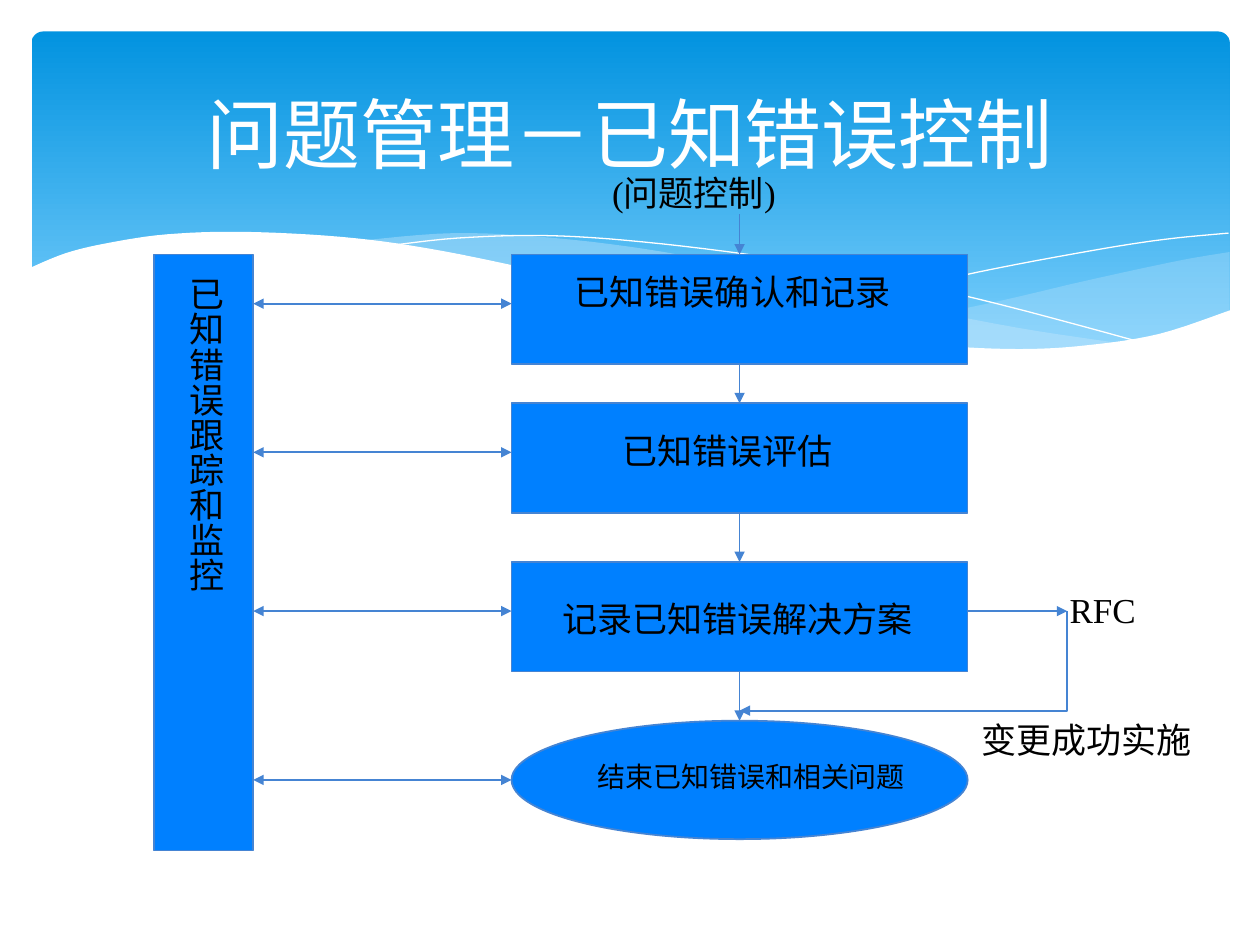
from lxml import etree
from pptx import Presentation
from pptx.dml.color import RGBColor
from pptx.enum.shapes import MSO_CONNECTOR as Connector, MSO_SHAPE as Shape
from pptx.enum.text import MSO_ANCHOR as Anchor, MSO_AUTO_SIZE as AutoSize, PP_ALIGN as Align
from pptx.oxml.ns import qn
from pptx.util import Inches, Pt

WHITE = RGBColor(0xFF, 0xFF, 0xFF)
BLACK = RGBColor(0x00, 0x00, 0x00)
BOX_BLUE = RGBColor(0x00, 0x80, 0xFF)
LINE_BLUE = RGBColor(0x45, 0x84, 0xD3)
SKY_TOP = RGBColor(0x02, 0x93, 0xE0)
SKY_BOTTOM = RGBColor(0x83, 0xD3, 0xFE)
MIST = RGBColor(0xC6, 0xE7, 0xFC)

COLUMNS, ROWS = 100, 75  # square grid cells
LABEL_INSETS = (1, 0.5, 1.2, 0.5)


def smooth(knots, steps=6):
    """Points of a Catmull-Rom curve through the knots."""
    ends = [knots[0], *knots, knots[-1]]
    points = [knots[0]]
    for a, b, c, d in zip(ends, ends[1:], ends[2:], ends[3:]):
        for step in range(1, steps + 1):
            t = step / steps
            points.append(tuple(
                (2 * q + (r - p) * t + (2 * p - 5 * q + 4 * r - s) * t ** 2
                 + (3 * q - p - 3 * r + s) * t ** 3) / 2
                for p, q, r, s in zip(a, b, c, d)))
    return points


class FlowSlide:
    """Style and drawing methods; all lengths are grid columns and rows."""

    def __init__(self, presentation):
        self.cell = presentation.slide_width / COLUMNS
        self.slide = presentation.slides.add_slide(presentation.slide_layouts[6])
        self.shapes = self.slide.shapes

    def units(self, *lengths):
        return [round(length * self.cell) for length in lengths]

    def block(self, kind, at, fill=BOX_BLUE, line=LINE_BLUE):
        shape = self.shapes.add_shape(kind, *self.units(*at))
        self.paint(shape, fill, line, 1)
        return shape

    def paint(self, shape, fill, line, width):
        shape.shadow.inherit = False
        if fill is None:
            shape.fill.background()
        else:
            shape.fill.solid()
            shape.fill.fore_color.rgb = fill
        if line is None:
            shape.line.fill.background()
        else:
            shape.line.color.rgb = line
            shape.line.width = Pt(width)

    def sky(self, at):
        shape = self.block(Shape.ROUNDED_RECTANGLE, at, line=None)
        shape.adjustments[0] = 0.034
        shape.fill.gradient()
        shape.fill.gradient_angle = 270
        for stop, color, position in zip(shape.fill.gradient_stops, (SKY_TOP, SKY_BOTTOM), (0, 1)):
            stop.color.rgb = color
            stop.position = position

    def wave(self, points, fill=None, line=None, opacity=100):
        points = [self.units(*point) for point in points]
        builder = self.shapes.build_freeform(*points[0])
        builder.add_line_segments(points[1:], close=fill is not None)
        shape = builder.convert_to_shape()
        self.paint(shape, fill, line, 0)
        if opacity < 100:
            color = shape._element.spPr.find(".//" + qn("a:srgbClr"))
            etree.SubElement(color, qn("a:alpha")).set("val", str(opacity * 1000))

    def text(self, text, at, size=20, font="Times New Roman", color=BLACK, align=Align.LEFT,
             insets=LABEL_INSETS, fill=None, vertical=False, anchor=Anchor.TOP, grow=True):
        if fill is None:
            shape = self.shapes.add_textbox(*self.units(*at))
        else:
            shape = self.block(Shape.RECTANGLE, at, fill, None)
        frame = shape.text_frame
        frame.text = text
        frame.word_wrap = True
        frame.vertical_anchor = anchor
        frame.auto_size = AutoSize.SHAPE_TO_FIT_TEXT if grow else AutoSize.NONE
        (frame.margin_left, frame.margin_top,
         frame.margin_right, frame.margin_bottom) = self.units(*insets)
        if vertical:
            frame._txBody.bodyPr.set("vert", "eaVert")
        paragraph = frame.paragraphs[0]
        paragraph.alignment = align
        for run in paragraph.runs:
            run.font.size, run.font.name = Pt(size), font
            run.font.color.rgb = color

    def arrow(self, start, end, kind=Connector.STRAIGHT, both=False):
        connector = self.shapes.add_connector(kind, *self.units(*start, *end))
        connector.line.color.rgb = LINE_BLUE
        connector.line.width = Pt(1)
        line = connector.line._get_or_add_ln()
        for name in ("a:headEnd", "a:tailEnd") if both else ("a:tailEnd",):
            etree.SubElement(line, qn(name)).set("type", "triangle")
        etree.SubElement(connector._element.spPr, qn("a:effectLst"))
        return connector

    def corner_arrow(self, start, end):
        """One-bend arrow: down from start, then left to end."""
        width, height = end[1] - start[1], start[0] - end[0]
        left = (start[0] + end[0] - width) / 2
        top = (start[1] + end[1] - height) / 2
        connector = self.arrow((left, top), (left + width, top + height), Connector.ELBOW)
        connector._element.spPr.find(qn("a:prstGeom")).set("prst", "bentConnector2")
        connector.rotation = 90


def draw_background(page):
    page.sky((2.5, 2.5, 95.1, 27))
    # Translucent waves
    page.wave(smooth([(97.6, 20), (93.5, 20.7), (86.1, 22.3), (77.9, 24.2), (66.1, 26.5)])
              + smooth([(66.1, 26.5), (73.2, 27.4), (80.3, 27.8), (87.2, 27.4),
                        (92.8, 26.3), (97.6, 24.7)]), MIST, opacity=29)
    page.wave(smooth([(89.3, 27.3), (80.7, 26), (70.6, 24), (61.3, 21.8), (52.7, 20),
                      (44.1, 18.9), (36.1, 18.5), (28.6, 19.1)])
              + smooth([(28.6, 19.1), (36.2, 20.3), (44.9, 22.2), (56.6, 24.8), (66.5, 26.6),
                        (76.1, 27.7), (82.8, 27.8), (89.3, 27.3)]), MIST, opacity=40)
    # Thin white curves
    page.wave(smooth([(30.9, 19.5), (36.3, 18.9), (43.3, 18.7), (51, 19.2), (60.8, 20.4),
                      (69.5, 21.9), (79.5, 24.2), (90.7, 27.2)]), line=WHITE)
    page.wave(smooth([(61.3, 25.7), (69.5, 23.5), (77.6, 21.6), (86.6, 19.9),
                      (92.4, 19), (97.5, 18.5)]), line=WHITE)
    # White lower edge
    page.wave(smooth([(97.7, 24.6), (92, 26.5), (86.3, 27.4), (80.9, 27.7), (74.4, 27.4),
                      (66.8, 26.5), (57.9, 25), (50.3, 23.3), (41.8, 21.3), (33.9, 19.7),
                      (27.1, 18.8), (19.3, 18.4), (13.2, 18.6), (8.5, 19.3), (5.2, 20.1),
                      (2.3, 21.3)]) + [(2.3, 32.9), (97.7, 32.9)], WHITE)


def draw_flow(page):
    left, width, height = 40.6, 36.2, 8.7
    center, right = left + width / 2, left + width
    monitor_left, monitor_width = 12.2, 7.9
    tops = (20.2, 32, 44.6)
    arrow_rows = [top + 3.9 for top in tops] + [61.9]

    # Process steps, end state and monitoring bar
    steps = [page.block(Shape.RECTANGLE, (left, top, width, height)) for top in tops]
    steps.append(page.block(Shape.OVAL, (left, 57.2, width, 9.4)))
    page.block(Shape.RECTANGLE, (monitor_left, 20.2, monitor_width, 47.3))

    # Labels inside the steps
    for text, at, size in (
        ("已知错误确认和记录", (41.3, 21, 33.9, 4.4), 20),
        ("已知错误评估", (41.3, 33.6, 33.1, 4.4), 20),
        ("记录已知错误解决方案", (42.1, 46.9, 33.1, 4.4), 20),
        ("结束已知错误和相关问题", (45.3, 59.8, 28.9, 3.7), 16),
    ):
        page.text(text, at, size, align=Align.CENTER, fill=BOX_BLUE)
    page.text("已知错误跟踪和监控", (13, 21, 5.5, 45.7), align=Align.CENTER,
              insets=(0.5, 1, 0.5, 1.2), fill=BOX_BLUE, vertical=True)

    # Free labels
    for text, at in (
        ("(问题控制)", (47.6, 13.1, 26.8, 4.4)),
        ("RFC", (83.9, 46.2, 9.4, 4.4)),
        ("变更成功实施", (76.9, 56.5, 19.8, 4.4)),
    ):
        page.text(text, at)

    # Arrows to the monitoring bar and down the steps
    for row in arrow_rows:
        page.arrow((left, row), (monitor_left + monitor_width, row), both=True)
    page.arrow((center, 17), (center, tops[0])).end_connect(steps[0], 0)
    for upper, lower in zip(steps, steps[1:]):
        arrow = page.arrow((center, 0), (center, 1))
        arrow.begin_connect(upper, 2)
        arrow.end_connect(lower, 0)

    # Change request branch
    branch = (84.7, arrow_rows[2])
    page.arrow((right, arrow_rows[2]), branch)
    page.corner_arrow(branch, (center, 56.4))


def main():
    presentation = Presentation()
    presentation.slide_width, presentation.slide_height = Inches(10), Inches(7.5)
    page = FlowSlide(presentation)
    draw_background(page)
    page.text("问题管理－已知错误控制", (5, 3.7, 90, 13.7), 44, "Calibri", WHITE,
              Align.CENTER, (1, 0.5, 1, 0.5), anchor=Anchor.MIDDLE, grow=False)
    draw_flow(page)
    presentation.save("out.pptx")


if __name__ == "__main__":
    main()
